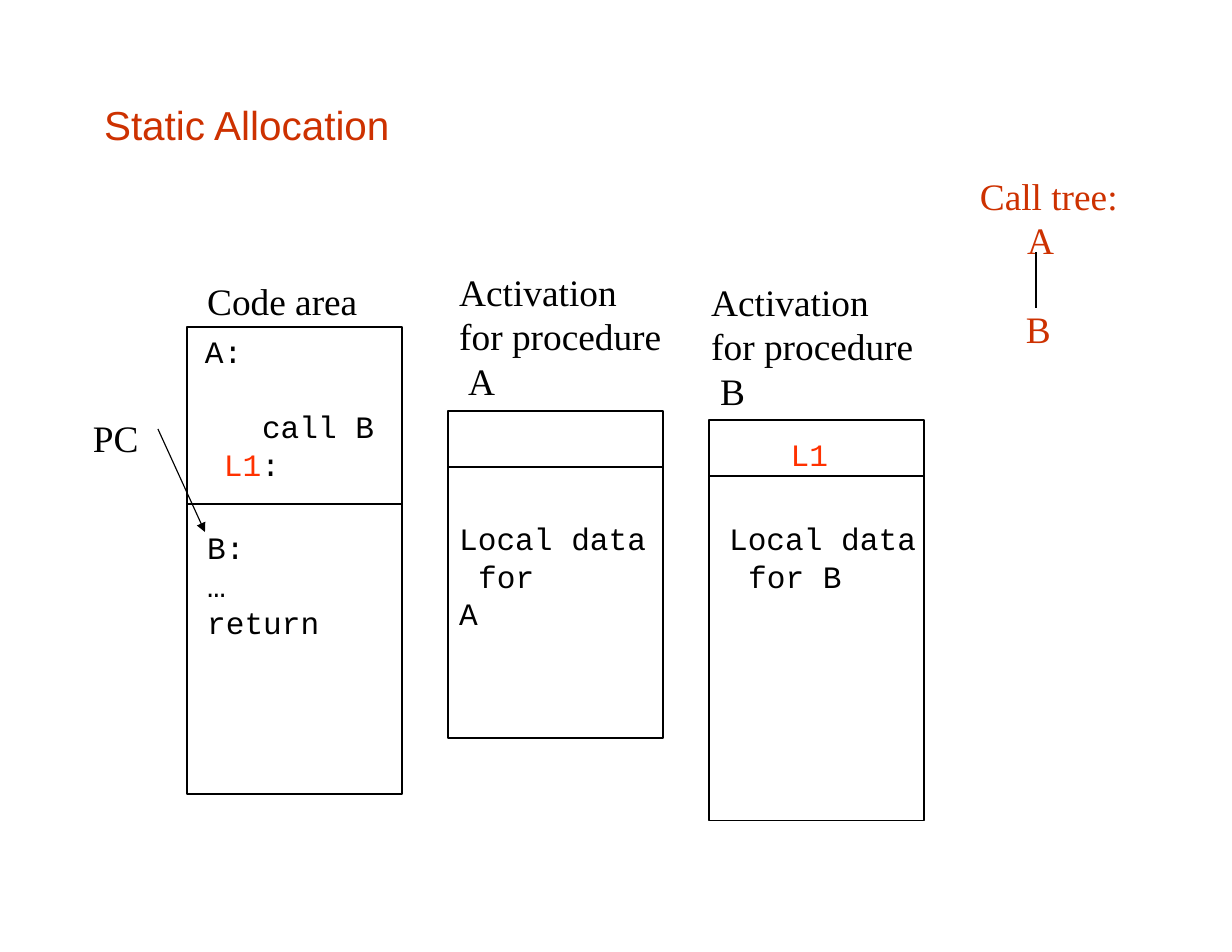
from lxml import etree
from pptx import Presentation
from pptx import util as u
from pptx.dml.color import RGBColor
from pptx.enum import shapes
from pptx.oxml import ns

BLACK = RGBColor(0x00, 0x00, 0x00)
RUST = RGBColor(0xCD, 0x31, 0x00)
RED = RGBColor(0xFF, 0x31, 0x00)
SERIF = dict(font="Times New Roman", size=24, pitch=28.4)
MONO = dict(font="Courier New", size=20, pitch=24.1)
SANS = dict(font="Arial", size=26, pitch=30)
COLUMN_WIDTH = 1.92
CHARACTER = 0.17  # one monospaced character


def write(para, content, *, font, size, pitch, color=BLACK, indent=0):
    """Fill a paragraph; content is a string or (string, colour) pairs."""
    if indent:
        para._p.get_or_add_pPr().set("marL", str(u.Inches(indent)))
    para.line_spacing = u.Pt(pitch)
    parts = [(content, color)] if isinstance(content, str) else content
    for words, shade in parts:
        span = para.add_run()
        span.text = words
        span.font.name = font
        span.font.size = u.Pt(size)
        span.font.color.rgb = shade


class Diagram:
    line_width = u.Pt(0.75)

    def __init__(self, page):
        self.page = page

    def text(self, left, top, width, height, lines, **style):
        """Place a text box; each line is (content, indent)."""
        box = self.page.shapes.add_textbox(*map(u.Inches, (left, top, width, height)))
        frame = box.text_frame
        frame.word_wrap = True
        frame.margin_left, frame.margin_top = u.Inches(0.01), u.Inches(0.04)
        frame.margin_right = frame.margin_bottom = 0
        for index, (content, indent) in enumerate(lines):
            para = frame.add_paragraph() if index else frame.paragraphs[0]
            write(para, content, indent=indent, **style)

    def line(self, x1, y1, x2, y2, arrow=False):
        line = self.page.shapes.add_connector(
            shapes.MSO_CONNECTOR.STRAIGHT, *map(u.Inches, (x1, y1, x2, y2)))
        line.line.color.rgb = BLACK
        line.line.width = self.line_width
        if arrow:
            outline = line.line._get_or_add_ln()
            etree.SubElement(outline, ns.qn("a:tailEnd"), type="triangle")
        etree.SubElement(line._element.spPr, ns.qn("a:effectLst"))

    def memory(self, left, top, height, divider):
        """Draw a memory block split at a distance below its top."""
        block = self.page.shapes.add_shape(
            shapes.MSO_SHAPE.RECTANGLE,
            *map(u.Inches, (left, top, COLUMN_WIDTH, height)))
        block.shadow.inherit = False
        block.fill.background()
        block.line.color.rgb = BLACK
        block.line.width = self.line_width
        self.line(left, top + divider, left + COLUMN_WIDTH, top + divider)


def main():
    deck = Presentation()
    deck.slide_width, deck.slide_height = u.Inches(11), u.Inches(8.5)
    diagram = Diagram(deck.slides.add_slide(deck.slide_layouts[6]))

    diagram.text(0.92, 0.87, 9.16, 0.46, [("Static Allocation", 0)], color=RUST, **SANS)

    # Code area
    diagram.memory(1.67, 2.92, 4.17, 1.58)
    diagram.text(1.84, 2.45, 1.37, 0.42, [("Code area", 0)], **SERIF)
    diagram.text(1.82, 2.93, 0.36, 0.35, [("A:", 0)], **MONO)
    diagram.text(1.82, 3.6, 1.6, 0.69,
                 [("call B", 3 * CHARACTER), ([("L1", RED), (":", BLACK)], CHARACTER)],
                 **MONO)
    diagram.text(1.84, 4.68, 1.03, 1.02, [("B:", 0), ("…", 0), ("return", 0)], **MONO)

    # Activation records: procedure, block, heading and local data positions
    records = [
        ("A", 4, 3.67, 2.92, 4.09, 2.37, 4.09, [("for", CHARACTER), ("A", 0)]),
        ("B", 6.33, 3.75, 3.58, 6.34, 2.46, 6.5, [("for B", CHARACTER)]),
    ]
    for name, left, top, height, head_left, head_top, data_left, owner in records:
        diagram.memory(left, top, height, 0.5)
        diagram.text(head_left, head_top, 1.85, 1.22,
                     [("Activation", 0), ("for procedure", 0), (name, 0.08)], **SERIF)
        diagram.text(data_left, 4.6, 1.72, 0.69, [("Local data", 0)] + owner, **MONO)
    diagram.text(7.05, 3.85, 0.36, 0.35, [("L1", 0)], color=RED, **MONO)

    # Program counter
    diagram.text(0.82, 3.67, 0.44, 0.42, [("PC", 0)], **SERIF)
    diagram.line(1.41, 3.83, 1.83, 4.75, arrow=True)

    # Call tree
    diagram.text(8.74, 1.51, 1.26, 0.81, [("Call tree:", 0), ("A", 0.42)],
                 color=RUST, **SERIF)
    diagram.text(9.15, 2.7, 0.25, 0.42, [("B", 0)], color=RUST, **SERIF)
    diagram.line(9.25, 2.25, 9.25, 2.75)

    deck.save("out.pptx")


if __name__ == "__main__":
    main()
